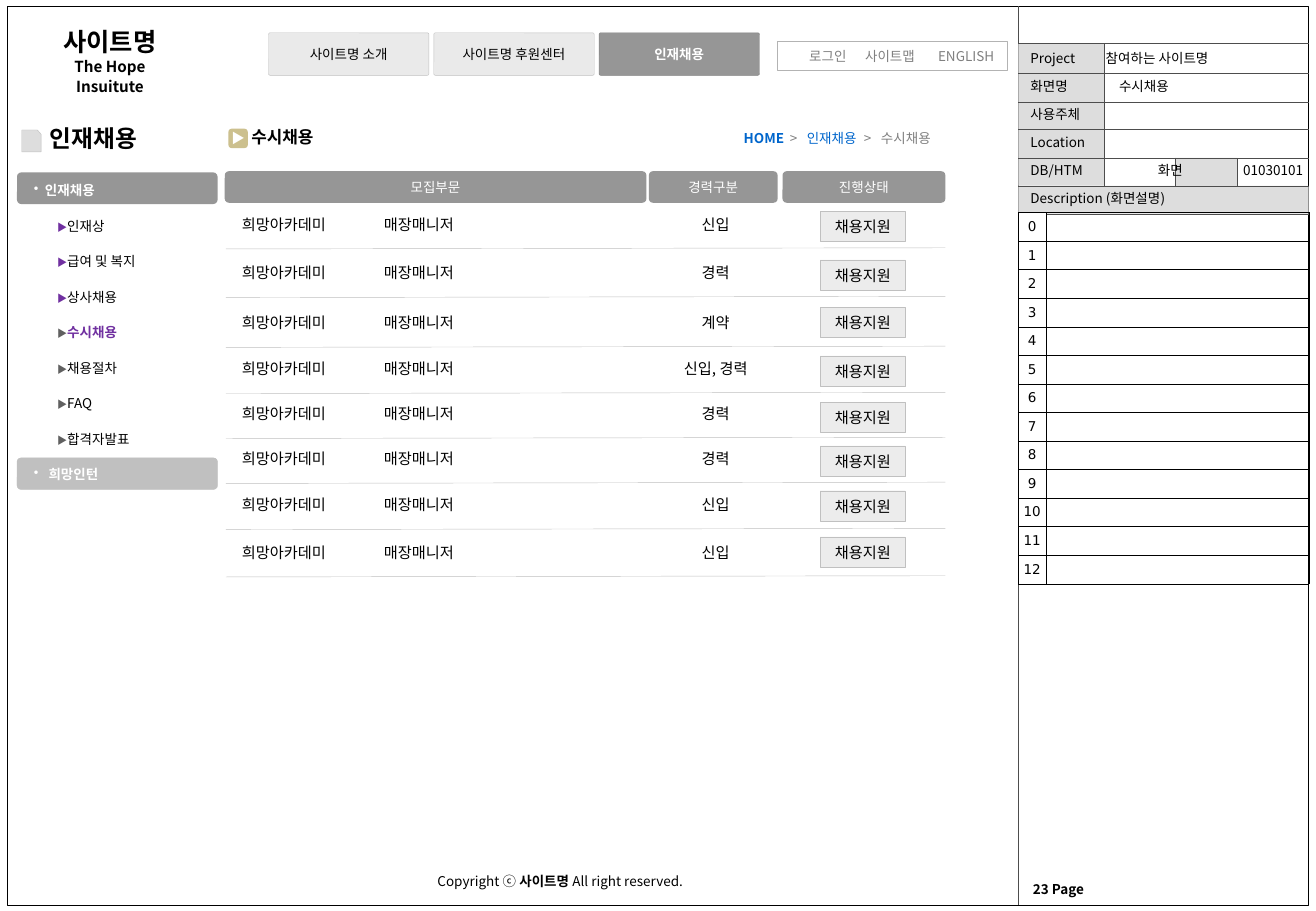
from lxml.etree import SubElement
from pptx import Presentation
from pptx.dml.color import RGBColor
from pptx.enum.shapes import MSO_CONNECTOR, MSO_SHAPE
from pptx.enum.text import MSO_ANCHOR, PP_ALIGN
from pptx.oxml.ns import qn
from pptx.util import Inches, Pt

FONT, DIGIT = "Noto Sans CJK KR", "DejaVu Sans"
BLACK = RGBColor(0, 0, 0)
WHITE = RGBColor(255, 255, 255)
DARK = RGBColor(0x4D, 0x4D, 0x4D)
ARROW = RGBColor(0x60, 0x60, 0x60)
GRAY = RGBColor(0x80, 0x80, 0x80)
BAR = RGBColor(0x96, 0x96, 0x96)
EDGE = RGBColor(0xB3, 0xB3, 0xB3)
SILVER = RGBColor(0xC0, 0xC0, 0xC0)
LABEL = RGBColor(0xDD, 0xDD, 0xDD)
TAB = RGBColor(0xEA, 0xEA, 0xEA)
BUTTON = RGBColor(0xEC, 0xEC, 0xEC)
GOLD = RGBColor(0xCC, 0xC0, 0x8E)
PURPLE = RGBColor(0x70, 0x30, 0xA0)
BLUE = RGBColor(0, 0x66, 0xCC)
MID = PP_ALIGN.CENTER


def write(frame, text, size=8, color=BLACK, bold=False, align=PP_ALIGN.LEFT,
          face=FONT, new=False, pitch=None, left=0, hang=0, bullet=None, tabs=()):
    """Write one paragraph from a string or from (text, format) runs."""
    para = frame.add_paragraph() if new else frame.paragraphs[0]
    props = para._p.get_or_add_pPr()
    if left:
        props.set("marL", str(Inches(left)))
        props.set("indent", str(Inches(-hang)))
    if bullet:
        SubElement(props, qn("a:buChar")).set("char", bullet)
    if tabs:
        stops = SubElement(props, qn("a:tabLst"))
        for stop in tabs:
            SubElement(stops, qn("a:tab"), pos=str(Inches(stop)), algn="l")
    para.alignment = align
    if pitch:
        para.line_spacing = Pt(pitch)
    base = dict(size=size, color=color, bold=bold)
    for part, extra in [(text, {})] if isinstance(text, str) else text:
        look = base | extra
        run = para.add_run()
        run.text = part
        run.font.size = Pt(look["size"])
        run.font.bold = look["bold"]
        run.font.color.rgb = look["color"]
        run.font.name = face
        SubElement(run._r.get_or_add_rPr(), qn("a:ea"), typeface=face)


def clear(frame, anchor=MSO_ANCHOR.MIDDLE):
    """Wrap a text frame and drop its margins."""
    frame.word_wrap = True
    frame.vertical_anchor = anchor
    frame.margin_left = frame.margin_right = 0
    frame.margin_top = frame.margin_bottom = 0
    return frame


def label(slide, x, y, w, h, text, **look):
    """Add a text box centred on its height."""
    box = slide.shapes.add_textbox(Inches(x), Inches(y), Inches(w), Inches(h))
    write(clear(box.text_frame), text, **look)


def block(slide, x, y, w, h, fill=None, edge=None, round=None, text=None,
          kind=MSO_SHAPE.RECTANGLE, **look):
    """Add a flat shape with optional text."""
    if round is not None:
        kind = MSO_SHAPE.ROUNDED_RECTANGLE
    shape = slide.shapes.add_shape(kind, Inches(x), Inches(y), Inches(w), Inches(h))
    shape.shadow.inherit = False
    if round is not None:
        shape.adjustments[0] = round
    if fill is None:
        shape.fill.background()
    else:
        shape.fill.solid()
        shape.fill.fore_color.rgb = fill
    if edge is None:
        shape.line.fill.background()
    else:
        shape.line.color.rgb = edge
        shape.line.width = Pt(0.25)
    if text:
        write(clear(shape.text_frame), text, align=MID, **look)
    return shape


def rule(slide, x, y, to_x, to_y, color=DARK):
    """Draw a hairline."""
    line = slide.shapes.add_connector(
        MSO_CONNECTOR.STRAIGHT, Inches(x), Inches(y), Inches(to_x), Inches(to_y))
    line.line.color.rgb = color
    line.line.width = Pt(0.25)
    SubElement(line._element.spPr, qn("a:effectLst"))


def panel(slide, x, y, w):
    """Draw the project panel and its number grid."""
    block(slide, x + 1.29, y + 0.94, 0.51, 0.25, LABEL)
    block(slide, x, y + 1.17, w, 0.23, LABEL)
    block(slide, x, y, 0.71, 1.17, LABEL)
    for drop in (0, 0.24, 0.48, 0.7, 0.94, 1.17, 1.4):
        rule(slide, x, y + drop, x + w, y + drop)
    rule(slide, x + 0.71, y, x + 0.71, y + 1.17)
    for side in (1.29, 1.8):
        rule(slide, x + side, y + 0.94, x + side, y + 1.17)
    names = ("Project", "화면명", "사용주체", "Location", "DB/HTM", "Description (화면설명)")
    for i, name in enumerate(names):
        label(slide, x + 0.1, y + 0.23 * i, 1.6, 0.24, name)
    for side, i, value in ((0.72, 0, "참여하는 사이트명"), (0.83, 1, "수시채용"),
                           (1.15, 4, "화면"), (1.85, 4, "01030101")):
        label(slide, x + side, y + 0.23 * i, 1.2 if i < 4 else 0.6, 0.24, value)
    grid(slide, x, y + 1.39, w, 3.06)


def grid(slide, x, y, w, h):
    """Add the numbered table."""
    table = slide.shapes.add_table(13, 2, Inches(x), Inches(y), Inches(w), Inches(h)).table
    table.first_row = table.horz_banding = False
    table.columns[0].width = Inches(0.23)
    table.columns[1].width = Inches(w - 0.23)
    for i, row in enumerate(table.rows):
        row.height = Inches(h) // 13
        for j, cell in enumerate(row.cells):
            for side in ("lnL", "lnR", "lnT", "lnB"):
                line = SubElement(cell._tc.get_or_add_tcPr(), qn("a:" + side), w="3175")
                fill = SubElement(line, qn("a:solidFill"))
                SubElement(fill, qn("a:srgbClr"), val=str(BLACK))
            cell.margin_left = cell.margin_right = Inches(0.04)
            cell.margin_top = cell.margin_bottom = 0
            cell.vertical_anchor = MSO_ANCHOR.MIDDLE
            if j == 0:
                cell.fill.solid()
                cell.fill.fore_color.rgb = WHITE
                write(cell.text_frame, str(i), align=MID, face=DIGIT)
            else:
                cell.fill.background()
                SubElement(cell.text_frame.paragraphs[0]._p, qn("a:endParaRPr"), sz="800")


def header(slide, x, y):
    """Draw the site name, the main tabs and the login bar."""
    site = slide.shapes.add_textbox(Inches(x), Inches(y), Inches(0.97), Inches(0.63))
    frame = clear(site.text_frame, MSO_ANCHOR.TOP)
    write(frame, "사이트명", size=15, bold=True, align=MID, pitch=22)
    write(frame, "The Hope Insuitute", size=9, bold=True, align=MID, pitch=11.5, new=True)
    for i, name in enumerate(("사이트명 소개", "사이트명 후원센터", "인재채용")):
        live = i == 2
        block(slide, x + 1.79 + 1.36 * i, y + 0.11, 1.32, 0.35, BAR if live else TAB,
              GRAY if live else SILVER, 0.04, name,
              color=WHITE if live else BLACK, bold=live)
    block(slide, x + 5.98, y + 0.18, 1.89, 0.24, edge=EDGE)
    label(slide, x + 6.24, y + 0.18, 1.6, 0.24, "로그인\t사이트맵\tENGLISH",
          color=GRAY, tabs=(0.46, 1.06))


def menu(slide, x, y):
    """Draw the side menu with its heading."""
    label(slide, x + 0.27, y, 1, 0.35, "인재채용", size=14, bold=True)
    page = block(slide, x + 0.04, y + 0.11, 0.16, 0.18, LABEL, SILVER,
                 kind=MSO_SHAPE.FLOWCHART_CARD)
    page._element.spPr.get_or_add_xfrm().set("flipH", "1")
    block(slide, x, y + 0.46, 1.65, 0.26, BAR, round=0.13)
    block(slide, x, y + 2.81, 1.65, 0.26, SILVER, SILVER, 0.13)
    box = slide.shapes.add_textbox(Inches(x + 0.14), Inches(y + 0.38), Inches(1.4), Inches(2.64))
    frame = clear(box.text_frame, MSO_ANCHOR.TOP)
    head = dict(color=WHITE, bold=True, bullet="•", pitch=21.07)
    write(frame, "인재채용", left=0.09, hang=0.09, **head)
    names = ("인재상", "급여 및 복지", "상사채용", "수시채용", "채용절차", "FAQ", "합격자발표")
    for i, name in enumerate(names):
        live = name == "수시채용"
        mark = ("▶", dict(size=6, color=PURPLE if i < 3 else ARROW))
        item = (name, dict(color=PURPLE if live else BLACK, bold=live))
        write(frame, [mark, item], left=0.19, pitch=21.07, new=True)
    write(frame, "희망인턴", left=0.12, hang=0.12, new=True, **head)


def jobs(slide, x, y):
    """Draw the job list with its title and trail."""
    block(slide, x + 0.03, y + 0.07, 0.16, 0.16, GOLD, round=0.17, text="▶", color=WHITE)
    label(slide, x + 0.22, y, 1, 0.27, "수시채용", size=10, bold=True)
    blue, gray = dict(color=BLUE), dict(color=GRAY)
    trail = [("HOME", blue | dict(bold=True)), ("\t>", gray), ("\t인재채용", blue),
             ("\t>", gray), ("\t수시채용", gray)]
    label(slide, x + 4.27, y + 0.03, 1.8, 0.23, trail, tabs=(0.38, 0.52, 0.99, 1.13))
    for side, w, name in ((0, 3.47, "모집부문"), (3.49, 1.06, "경력구분"), (4.59, 1.34, "진행상태")):
        block(slide, x + side, y + 0.42, w, 0.26, BAR, round=0.13, text=name, color=WHITE)
    rows = ((0.73, 0.75, "신입"), (1.13, 1.15, "경력"), (1.54, 1.54, "계약"),
            (1.92, 1.94, "신입, 경력"), (2.29, 2.32, "경력"), (2.66, 2.68, "경력"),
            (3.04, 3.05, "신입"), (3.43, 3.43, "신입"))
    for top, press, career in rows:
        label(slide, x + 0.14, y + top, 0.9, 0.25, "희망아카데미", size=9)
        label(slide, x + 1.31, y + top, 0.9, 0.25, "매장매니저", size=9)
        label(slide, x + 3.54, y + top, 1, 0.25, career, size=9, align=MID)
        block(slide, x + 4.9, y + press, 0.7, 0.25, BUTTON, SILVER, text="채용지원", size=9)
        rule(slide, x + 0.01, y + top + 0.33, x + 5.93, y + top + 0.32, SILVER)


def footer(slide, x, y):
    """Write the copyright line and the page number."""
    text = [("Copyright ⓒ ", {}), ("사이트명 ", dict(bold=True)), ("All right reserved.", {})]
    label(slide, x, y, 2.5, 0.23, text)
    label(slide, x + 4.9, y + 0.07, 0.8, 0.22, "23 Page", bold=True)


def main():
    """Build the slide and save it."""
    deck = Presentation()
    deck.slide_width, deck.slide_height = Inches(10.83), Inches(7.5)
    slide = deck.slides.add_slide(deck.slide_layouts[6])
    block(slide, 0.06, 0.05, 10.71, 7.4, edge=BLACK)
    rule(slide, 8.38, 0.05, 8.38, 7.45)
    panel(slide, 8.38, 0.36, 2.39)
    header(slide, 0.42, 0.16)
    menu(slide, 0.14, 0.96)
    jobs(slide, 1.85, 0.99)
    footer(slide, 3.6, 7.14)
    deck.save("out.pptx")


if __name__ == "__main__":
    main()
